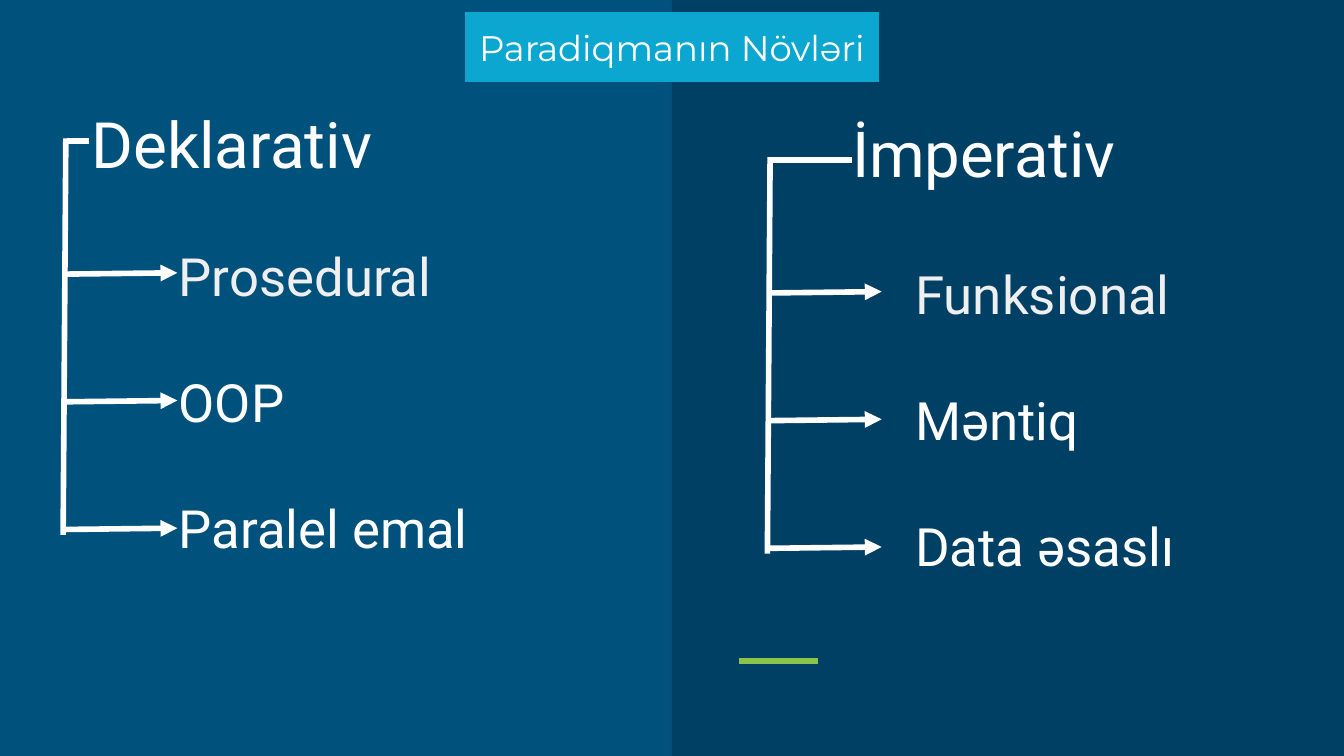
from lxml.etree import SubElement
from pptx import Presentation
from pptx.dml.color import RGBColor
from pptx.enum.shapes import MSO_CONNECTOR, MSO_SHAPE
from pptx.enum.text import MSO_ANCHOR, MSO_AUTO_SIZE, PP_ALIGN
from pptx.oxml.ns import qn
from pptx.util import Inches, Pt

WHITE, PALE = "FFFFFF", "EFEFEF"
WIDE = 10
HIGH = WIDE * 9 / 16


def paint(form, color):
    """Give a fill or line format one solid colour."""
    form.fill.solid()
    form.fill.fore_color.rgb = RGBColor.from_string(color)


def draw(host, start, end, color=WHITE, arrow=False):
    ends = [Inches(v) for v in (*start, *end)]
    link = host.add_connector(MSO_CONNECTOR.STRAIGHT, *ends)
    link.line.width = Pt(3)
    paint(link.line, color)
    if arrow:
        SubElement(link.line._get_or_add_ln(), qn("a:tailEnd"), type="triangle")
    SubElement(link.element.spPr, qn("a:effectLst"))


prs = Presentation()
prs.slide_width, prs.slide_height = Inches(WIDE), Inches(HIGH)
slide = prs.slides.add_slide(prs.slide_layouts[3])
shapes = slide.shapes
paint(slide.background, "00517C")
title, left, right = slide.placeholders

# Right half and its accent
panel = shapes.add_shape(MSO_SHAPE.RECTANGLE, Inches(WIDE / 2), 0,
                         Inches(WIDE / 2), Inches(HIGH))
paint(panel, "004065")
panel.line.fill.background()
panel.shadow.inherit = False
title.element.addprevious(panel.element)
draw(shapes, (5.5, 4.92), (6.09, 4.92), "8BC34A")

# Frames, then title and lists
frames = [
    (title, (3.46, 0.09, 3.08, 0.52), MSO_ANCHOR.MIDDLE),
    (left, (0.23, 0.69, 4.42, 4.14), MSO_ANCHOR.TOP),
    (right, (5.71, 0.76, 4.29, 4.32), MSO_ANCHOR.TOP),
]
for shape, box, anchor in frames:
    for name, value in zip(("left", "top", "width", "height"), box):
        setattr(shape, name, Inches(value))
    form = {"word_wrap": True, "auto_size": MSO_AUTO_SIZE.NONE,
            "vertical_anchor": anchor}
    form |= {f"margin_{side}": Inches(0.1)
             for side in ("left", "top", "right", "bottom")}
    for name, value in form.items():
        setattr(shape.text_frame, name, value)

paint(title, "0CA7D1")
lists = [
    (title, ["Paradiqmanın Növləri"], 19, 19, 0, 0),
    (left, ["Deklarativ", "Prosedural", "OOP", "Paralel emal"],
     34.2, 28.2, 0.35, 33.6),
    (right, ["İmperativ", "Funksional", "Məntiq", "Data əsaslı"],
     34, 28.3, 0.53, 38),
]
for shape, words, head, size, inset, gap in lists:
    frame = shape.text_frame
    frame.text = "\n".join(words)
    for i, para in enumerate(frame.paragraphs):
        form = {"size": Pt(size if i else head),
                "name": "Montserrat" if shape is title else "Roboto"}
        run = para.runs[0]
        for name, value in form.items():
            setattr(run.font, name, value)
        paint(run.font, PALE if i == 1 else WHITE)
        if shape is title:
            para.alignment = PP_ALIGN.CENTER
            continue
        para.line_spacing = Pt(34 if i else 40)
        para.space_before = Pt((0, gap, 33.6, 33.6)[i])
        props = para._p.get_or_add_pPr()
        props.set("marL", str(Inches(1 if i else inset)))
        props.set("indent", "0")
        SubElement(props, qn("a:buNone"))

# Brackets: x of the stem, y of the first arrow, reach of the top arm
trees = [
    (shapes.add_group_shape().shapes, 0.47, 2.04, 0.19),
    (shapes, 5.71, 2.18, 0.63),
]
for host, x, y, arm in trees:
    for row in range(3):
        at = y + 0.95 * row
        draw(host, (x, at), (x + 0.85, at - 0.01), arrow=True)
    draw(host, (x, y + 1.94), (x + 0.02, y - 1.01))
    draw(host, (x + 0.03, y - 0.99), (x + arm, y - 0.99))

prs.save("out.pptx")
